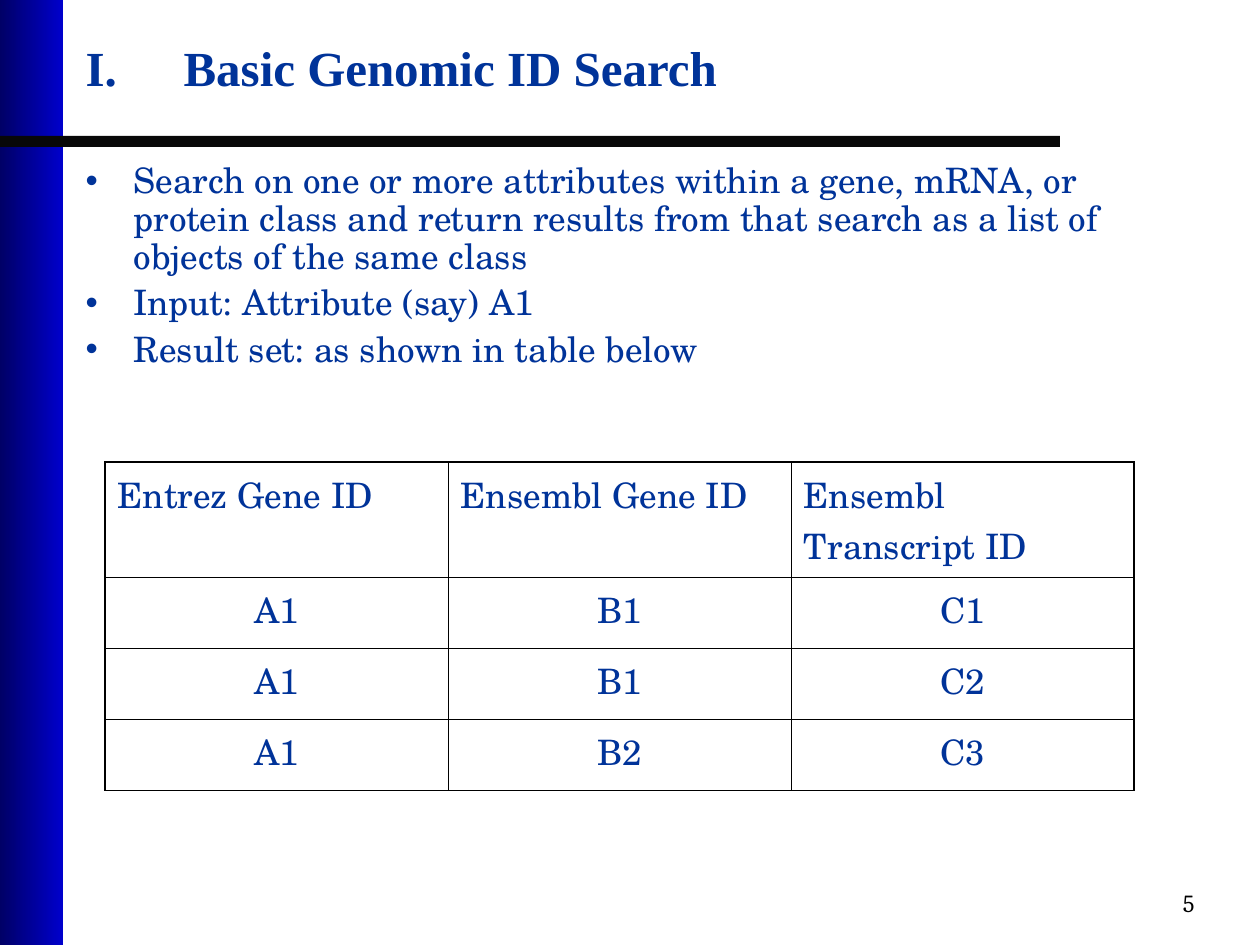
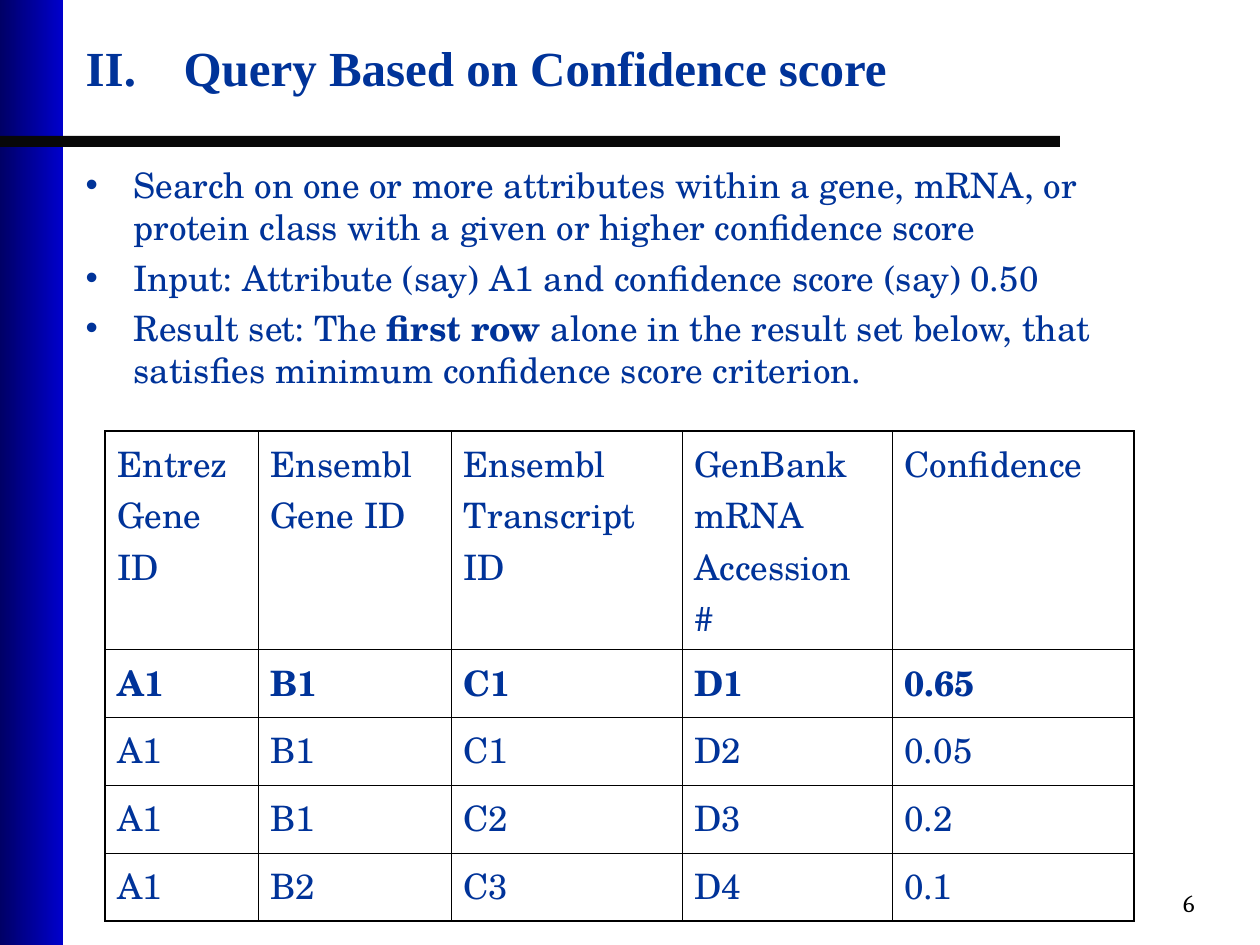
from lxml import etree
from pptx import Presentation
from pptx.dml.color import RGBColor
from pptx.enum.shapes import MSO_SHAPE
from pptx.enum.text import MSO_ANCHOR, MSO_AUTO_SIZE, PP_ALIGN
from pptx.oxml.ns import qn
from pptx.util import Inches, Pt

RECTANGLE = MSO_SHAPE.RECTANGLE
TOP = MSO_ANCHOR.TOP
NO_AUTOFIT = MSO_AUTO_SIZE.NONE
LEFT, CENTER, RIGHT = PP_ALIGN.LEFT, PP_ALIGN.CENTER, PP_ALIGN.RIGHT

PX = Inches(1) / 126
SLIDE_W, SLIDE_H = 1260, 945
NAVY, BLACK, RULE = "003399", "000000", "080808"
RAIL_DARK, RAIL_BRIGHT = "000066", "0000CC"
TITLE_FONT, BODY_FONT, NUMBER_FONT = "Times New Roman", "TeX Gyre Schola", "Cambria"
OUTER_BORDER, INNER_BORDER = 1.08, 0.45
TITLE_INDENT, BULLET_INDENT = 98, 48


def px(length):
    """Turn px into EMU."""
    return round(length * PX)


def rgb(value):
    """Turn a hex string into a colour."""
    return RGBColor.from_string(value)


def set_font(paragraph, name, size, color, bold=False):
    """Format all the text of a paragraph."""
    font = paragraph.font
    font.name, font.size, font.bold = name, Pt(size), bold
    font.color.rgb = rgb(color)


def set_hanging_indent(paragraph, indent):
    """Hang the first line of a paragraph by the indent."""
    properties = paragraph._p.get_or_add_pPr()
    properties.set("marL", str(px(indent)))
    properties.set("indent", str(-px(indent)))
    return properties


def place(shape, left, top, width, height):
    """Move and size a shape."""
    shape.left, shape.top = px(left), px(top)
    shape.width, shape.height = px(width), px(height)


def prepare_frame(frame):
    """Make a text frame wrap from its top edge at a fixed size."""
    frame.word_wrap = True
    frame.auto_size = NO_AUTOFIT
    frame.vertical_anchor = TOP


def add_band(slide, left, top, width, height):
    """Add a rectangle without line or shadow and return its fill."""
    band = slide.shapes.add_shape(RECTANGLE, px(left), px(top), px(width), px(height))
    band.shadow.inherit = False
    band.line.fill.background()
    return band.fill


def add_decoration(slide):
    """Add the gradient rail and the rule under the title."""
    rail = add_band(slide, 0, 0, 63, SLIDE_H)
    rail.gradient()
    rail.gradient_angle = 0
    for stop, color in zip(rail.gradient_stops, (RAIL_DARK, RAIL_BRIGHT)):
        stop.color.rgb = rgb(color)
    rule = add_band(slide, 0, 136, 1060, 11)
    rule.solid()
    rule.fore_color.rgb = rgb(RULE)


def set_title(slide, text, numeral):
    """Write the title with its Roman numeral."""
    title = slide.shapes.title
    place(title, 73, 31, 977, 105)
    prepare_frame(title.text_frame)
    paragraph = title.text_frame.paragraphs[0]
    paragraph.text = text
    paragraph.alignment = LEFT
    properties = set_hanging_indent(paragraph, TITLE_INDENT)
    numbering = etree.SubElement(properties, qn("a:buAutoNum"), type="romanUcPeriod")
    numbering.set("startAt", str(numeral))
    set_font(paragraph, TITLE_FONT, 28, NAVY, bold=True)


def set_bullets(slide, bullets, width, line_spacing):
    """Write the bullets, with text between ** marks in bold."""
    body = slide.placeholders[1]
    place(body, 73, 157, width, 242)
    frame = body.text_frame
    prepare_frame(frame)
    for index, bullet in enumerate(bullets):
        paragraph = frame.add_paragraph() if index else frame.paragraphs[0]
        set_hanging_indent(paragraph, BULLET_INDENT)
        paragraph.line_spacing = line_spacing
        paragraph.space_before = Pt(5 if index else 0)
        set_font(paragraph, BODY_FONT, 20, NAVY)
        for part, text in enumerate(bullet.split("**")):
            run = paragraph.add_run()
            run.text = text
            if part % 2:
                run.font.bold = True


def set_borders(cell, widths):
    """Draw the left, right, top and bottom borders of a cell."""
    properties = cell._tc.get_or_add_tcPr()
    for side, width in zip("LRTB", widths):
        line = etree.SubElement(properties, qn(f"a:ln{side}"), w=str(Pt(width)))
        fill = etree.SubElement(line, qn("a:solidFill"))
        etree.SubElement(fill, qn("a:srgbClr"), val=BLACK)


def add_result_table(slide, top, rows, widths, heights, align=LEFT, bold_row=None):
    """Add a ruled table with a heavier outer border."""
    last_row, last_column = len(rows) - 1, len(widths) - 1
    table = slide.shapes.add_table(
        len(rows), len(widths), px(105), px(top), px(sum(widths)), px(sum(heights))
    ).table
    table.first_row = table.horz_banding = False
    for column, width in zip(table.columns, widths):
        column.width = px(width)
    for r, (values, height) in enumerate(zip(rows, heights)):
        table.rows[r].height = px(height)
        for c, value in enumerate(values):
            cell = table.cell(r, c)
            on_edge = (c == 0, c == last_column, r == 0, r == last_row)
            set_borders(cell, [OUTER_BORDER if edge else INNER_BORDER for edge in on_edge])
            cell.fill.background()
            paragraph = cell.text_frame.paragraphs[0]
            paragraph.text = value
            paragraph.alignment = align if r else LEFT
            set_font(paragraph, BODY_FONT, 20, NAVY, bold=r == bold_row)


def add_page_number(slide, number):
    """Add the page number at the bottom right."""
    box = slide.shapes.add_textbox(px(945), px(882), px(262), px(63))
    prepare_frame(box.text_frame)
    paragraph = box.text_frame.paragraphs[0]
    paragraph.text = str(number)
    paragraph.alignment = RIGHT
    set_font(paragraph, NUMBER_FONT, 14, BLACK)


def add_query_slide(deck, title, numeral, page):
    """Add a slide with the shared rail, rule, title and page number."""
    slide = deck.slides.add_slide(deck.slide_layouts[1])
    add_decoration(slide)
    set_title(slide, title, numeral)
    add_page_number(slide, page)
    return slide


def main():
    """Build the two query slides."""
    deck = Presentation()
    deck.slide_width, deck.slide_height = px(SLIDE_W), px(SLIDE_H)

    id_search = add_query_slide(deck, "Basic Genomic ID Search", 1, 5)
    set_bullets(id_search, [
        "Search on one or more attributes within a gene, mRNA, or protein class and "
        "return results from that search as a list of objects of the same class",
        "Input: Attribute (say) A1",
        "Result set: as shown in table below",
    ], width=1102, line_spacing=0.9)
    add_result_table(id_search, 462, [
        ("Entrez Gene ID", "Ensembl Gene ID", "Ensembl Transcript ID"),
        ("A1", "B1", "C1"),
        ("A1", "B1", "C2"),
        ("A1", "B2", "C3"),
    ], widths=[343] * 3, heights=[115] + [71] * 3, align=CENTER)

    confidence_query = add_query_slide(deck, "Query Based on Confidence score", 2, 6)
    set_bullets(confidence_query, [
        "Search on one or more attributes within a gene, mRNA, or protein class with "
        "a given or higher confidence score",
        "Input: Attribute (say) A1 and confidence score (say) 0.50",
        "Result set: The **first row** alone in the result set below, that satisfies "
        "minimum confidence score criterion.",
    ], width=1050, line_spacing=1.0)
    add_result_table(confidence_query, 431, [
        ("Entrez Gene ID", "Ensembl Gene ID", "Ensembl Transcript ID",
         "GenBank mRNA Accession #", "Confidence"),
        ("A1", "B1", "C1", "D1", "0.65"),
        ("A1", "B1", "C1", "D2", "0.05"),
        ("A1", "B1", "C2", "D3", "0.2"),
        ("A1", "B2", "C3", "D4", "0.1"),
    ], widths=[153, 193, 231, 210, 242], heights=[181] + [68] * 4, bold_row=1)

    deck.save("out.pptx")


if __name__ == "__main__":
    main()
